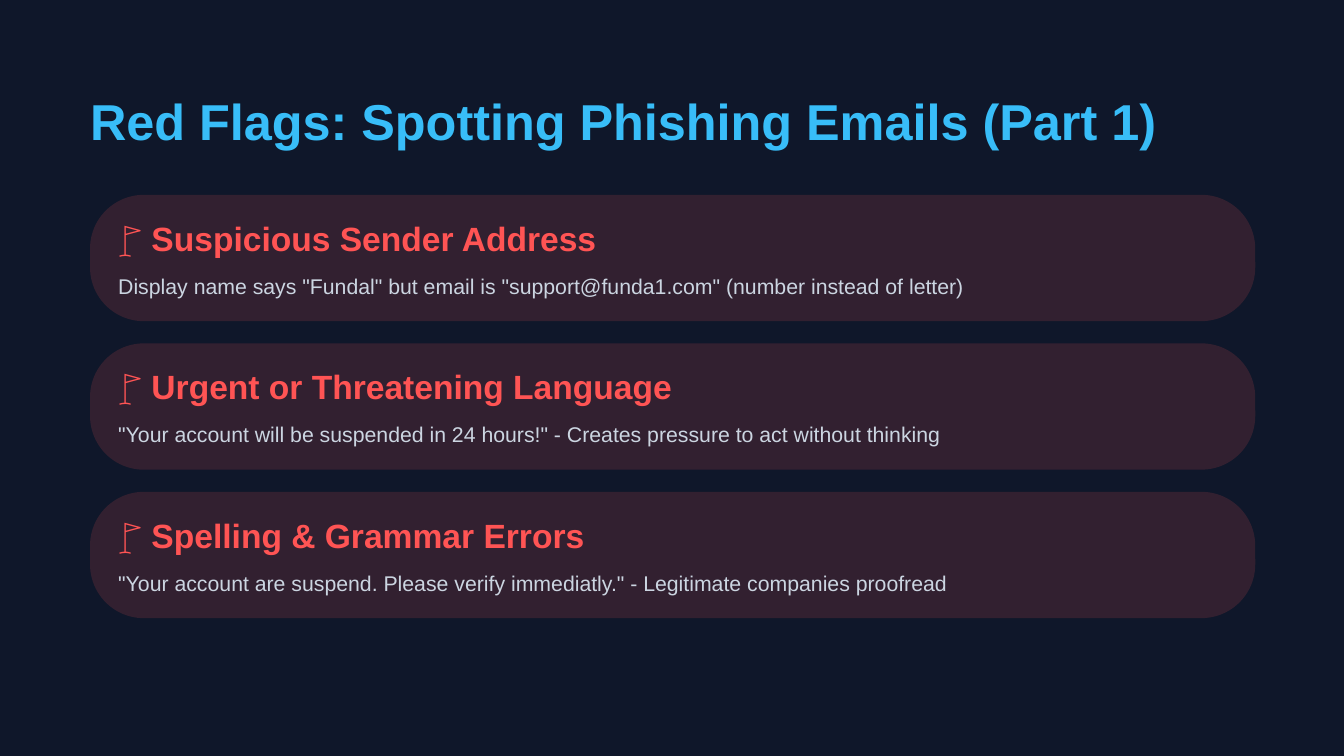
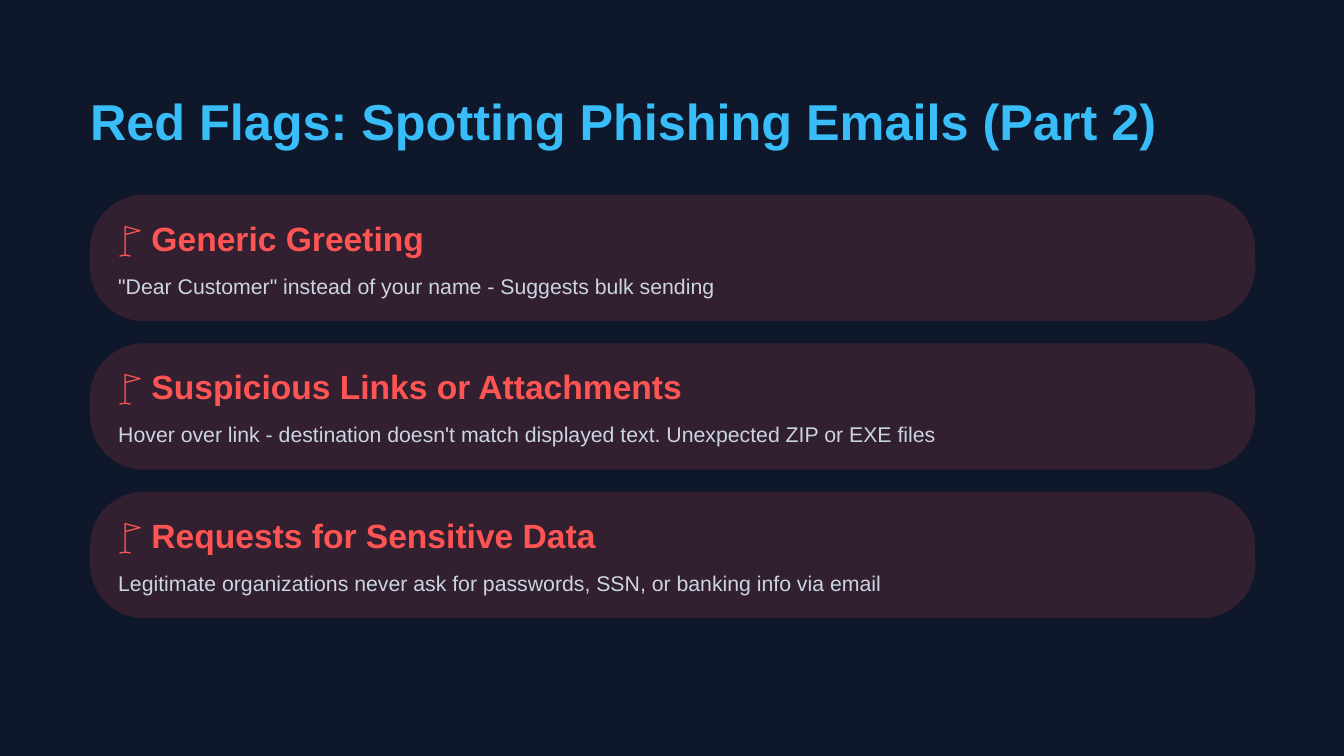
import pptx
import pptx.dml.color
import pptx.enum.shapes
import pptx.oxml.ns
import pptx.util
from lxml import etree

Inches = pptx.util.Inches
Pt = pptx.util.Pt

NAVY, SKY, RED, GREY = "0F172A", "38BDF8", "FF5454", "CBD5E1"
LEFT, WIDTH = 0.67, 8.67
TOP, HIGH = 1.45, 0.94
STEP = 2.21 / 2  # three cards, first to last top is 2.21

decks = [
    ("Red Flags: Spotting Phishing Emails (Part 1)", [
        ("Suspicious Sender Address",
         'Display name says "Fundal" but email is "support@funda1.com" (number instead of letter)'),
        ("Urgent or Threatening Language",
         '"Your account will be suspended in 24 hours!" - Creates pressure to act without thinking'),
        ("Spelling & Grammar Errors",
         '"Your account are suspend. Please verify immediatly." - Legitimate companies proofread'),
    ]),
    ("Red Flags: Spotting Phishing Emails (Part 2)", [
        ("Generic Greeting",
         '"Dear Customer" instead of your name - Suggests bulk sending'),
        ("Suspicious Links or Attachments",
         "Hover over link - destination doesn't match displayed text. Unexpected ZIP or EXE files"),
        ("Requests for Sensitive Data",
         "Legitimate organizations never ask for passwords, SSN, or banking info via email"),
    ]),
]


def paint(fill, color, alpha=None):
    """Fill with a solid hex colour; alpha is opacity in percent."""
    fill.solid()
    fill.fore_color.rgb = pptx.dml.color.RGBColor.from_string(color)
    if alpha is not None:
        tone = fill._xPr.find(".//" + pptx.oxml.ns.qn("a:srgbClr"))
        etree.SubElement(tone, pptx.oxml.ns.qn("a:alpha"), val=str(alpha * 1000))


def write(slide, text, left, top, width, height, size, color, line, bold=False):
    box = slide.shapes.add_textbox(Inches(left), Inches(top), Inches(width), Inches(height))
    frame = box.text_frame
    frame.word_wrap = True
    frame.margin_left = frame.margin_right = frame.margin_top = frame.margin_bottom = 0
    para = frame.paragraphs[0]
    para.line_spacing = Pt(line)
    run = para.add_run()
    run.text = text
    run.font.name = "Arial"
    run.font.size = Pt(size)
    run.font.bold = bold
    paint(run.font.fill, color)


deck = pptx.Presentation()
deck.slide_width = Inches(10)
deck.slide_height = Inches(5.625)

for title, flags in decks:
    slide = deck.slides.add_slide(deck.slide_layouts[6])
    paint(slide.background.fill, NAVY)
    write(slide, title, LEFT, 0.67, 8.84, 0.45, size=27, color=SKY, line=32.4, bold=True)
    for row, (head, note) in enumerate(flags):
        top = TOP + row * STEP
        card = slide.shapes.add_shape(
            pptx.enum.shapes.MSO_SHAPE.ROUNDED_RECTANGLE,
            Inches(LEFT), Inches(top), Inches(WIDTH), Inches(HIGH))
        card.adjustments[0] = 0.426
        card.shadow.inherit = False
        card.line.fill.background()
        paint(card.fill, RED, alpha=15)
        write(slide, "🚩 " + head, 0.88, top + 0.17, 8.46, 0.3,
              size=18, color=RED, line=21.6, bold=True)
        write(slide, note, 0.88, top + 0.55, 8.46, 0.22,
              size=11.4, color=GREY, line=16)

deck.save("out.pptx")
